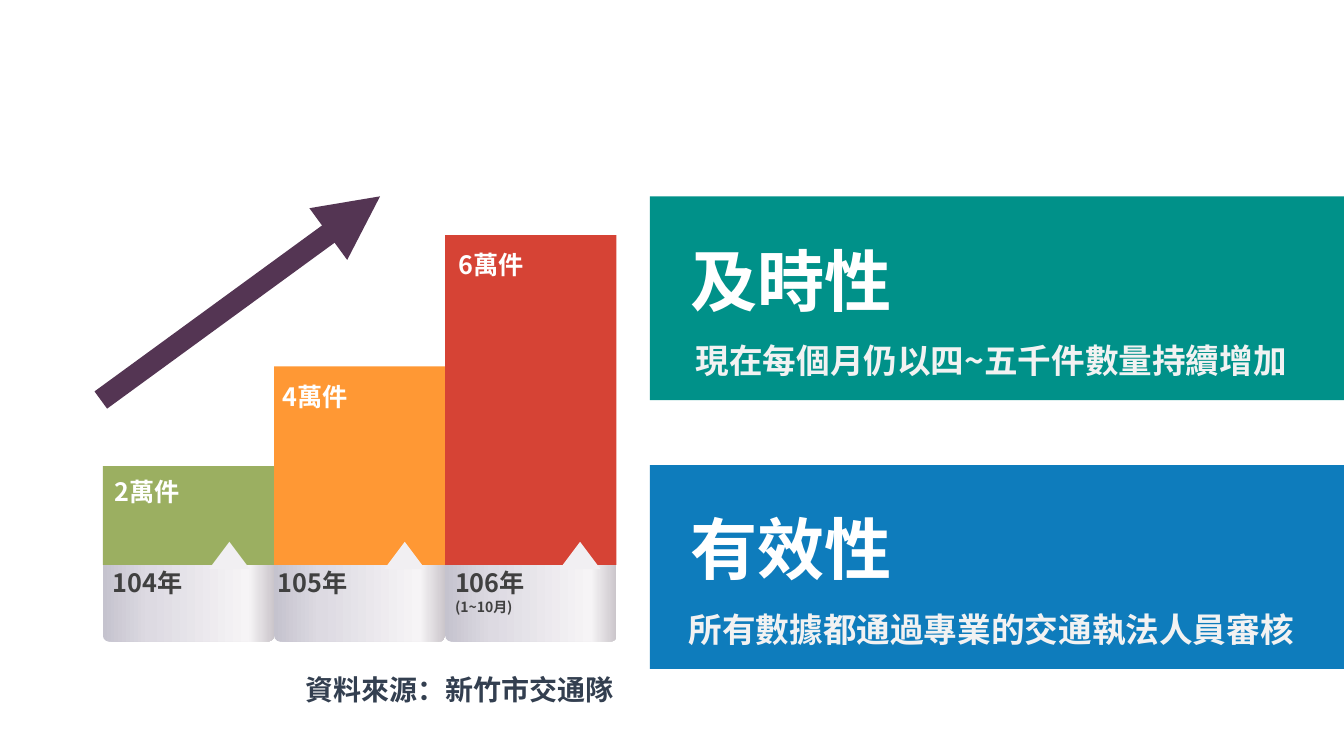
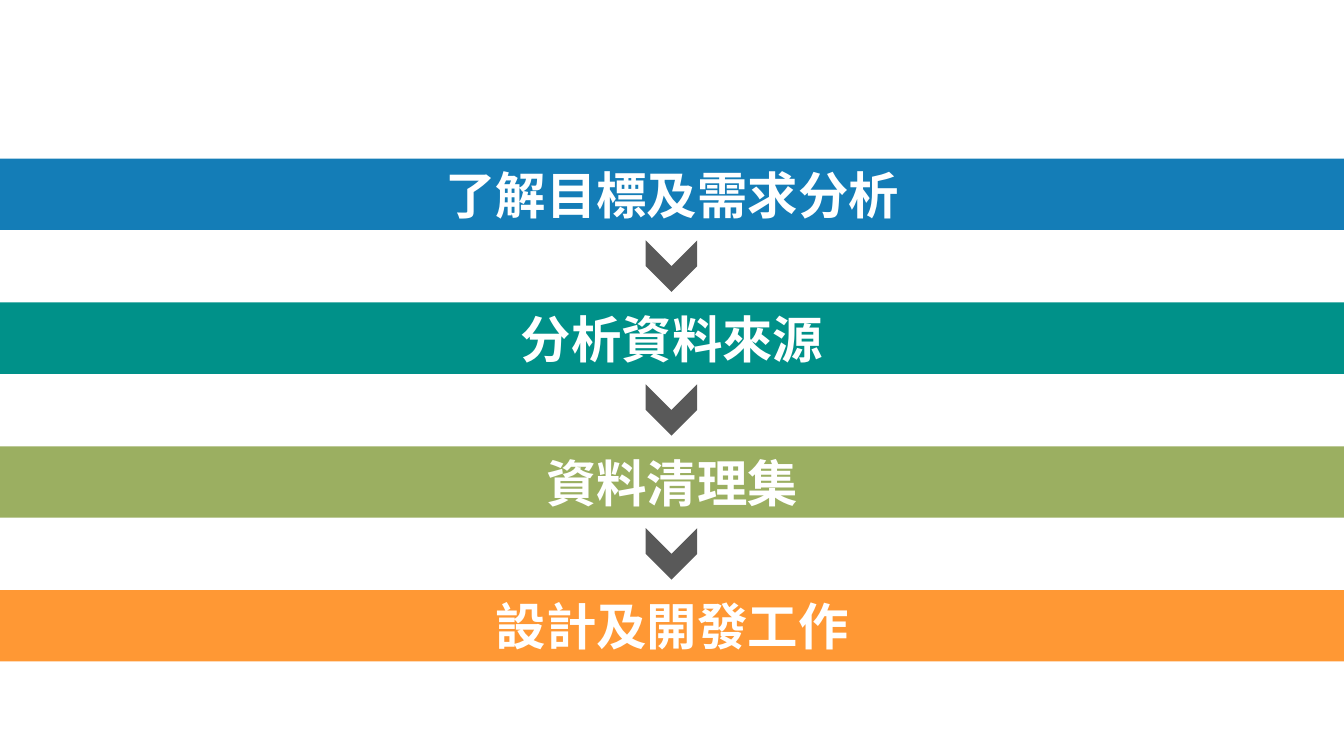
"""Build two slides: report growth by year, and the four project steps."""
import dataclasses

import lxml.etree
import pptx
import pptx.dml.color
import pptx.enum.dml
import pptx.enum.shapes
import pptx.enum.text
import pptx.oxml.ns
import pptx.util

SHAPE = pptx.enum.shapes.MSO_SHAPE
ALIGN = pptx.enum.text.PP_ALIGN
qn = pptx.oxml.ns.qn
SLIDE_W, SLIDE_H = 1280, 720


@dataclasses.dataclass(frozen=True)
class Theme:
    """Colours, font and type sizes shared by the slides."""
    font: str = "Noto Sans CJK SC"
    white: str = "FFFFFF"
    pale: str = "F2F2F2"
    notch: str = "F1EFF2"
    dark: str = "404040"
    navy: str = "333F50"
    chevron: str = "595959"
    purple: str = "543553"
    blue: str = "0E7CBC"
    band_blue: str = "147DB7"
    teal: str = "009189"
    green: str = "9BAF61"
    orange: str = "FF9834"
    red: str = "D64335"
    metal: tuple = ((0, "C5C3CE"), (27, "DDDAE2"), (85, "F6F4F6"), (100, "CBC6CB"))
    headline: int = 48
    band: int = 36
    detail: int = 24
    source: int = 20
    label: int = 18
    note: int = 10
    arrow: float = 15.25


T = Theme()


def px(n):
    """Turn pixels into EMU."""
    return pptx.util.Emu(n * 9525)


def rgb(color):
    """Turn a hex string into a colour."""
    return pptx.dml.color.RGBColor.from_string(color)


def write(tf, lines, color, align=ALIGN.LEFT, spacing=None):
    """Fill a text frame with (text, size) lines in bold."""
    tf.word_wrap = True
    tf.text = "\n".join(text for text, _ in lines)
    for p, (_, size) in zip(tf.paragraphs, lines):
        p.alignment = align
        p.line_spacing = spacing
        for r in p.runs:
            r.font.size = pptx.util.Pt(size)
            r.font.bold = True
            r.font.color.rgb = rgb(color)
            r.font.name = T.font
            ea = lxml.etree.SubElement(r.font._element, qn("a:ea"))
            ea.set("typeface", T.font)


def add_text(slide, x, y, w, h, lines, color, **style):
    """Add a text box that grows with its text."""
    tf = slide.shapes.add_textbox(px(x), px(y), px(w), px(h)).text_frame
    write(tf, lines, color, **style)
    tf.auto_size = pptx.enum.text.MSO_AUTO_SIZE.SHAPE_TO_FIT_TEXT


def add_shape(slide, kind, x, y, w, h, color):
    """Add a flat shape without outline or shadow."""
    sp = slide.shapes.add_shape(kind, px(x), px(y), px(w), px(h))
    sp.shadow.inherit = False
    sp.fill.solid()
    sp.fill.fore_color.rgb = rgb(color)
    sp.line.fill.background()
    return sp


def set_gradient(sp, stops):
    """Give a shape a left-to-right gradient of (percent, colour) stops."""
    sp.fill.gradient()
    sp.fill.gradient_angle = 0
    gs_list = sp._element.spPr.find(qn("a:gradFill")).find(qn("a:gsLst"))
    for gs in list(gs_list):
        gs_list.remove(gs)
    for percent, color in stops:
        gs = lxml.etree.SubElement(gs_list, qn("a:gs"), pos=str(percent * 1000))
        lxml.etree.SubElement(gs, qn("a:srgbClr"), val=color)


def add_arrow(slide, x1, y1, x2, y2):
    """Add the thick rising arrow."""
    line = slide.shapes.add_connector(
        pptx.enum.shapes.MSO_CONNECTOR.STRAIGHT, px(x1), px(y1), px(x2), px(y2))
    line.line.width = pptx.util.Pt(T.arrow)
    line.line.color.rgb = rgb(T.purple)
    lxml.etree.SubElement(line.line._get_or_add_ln(), qn("a:tailEnd"), type="triangle")
    lxml.etree.SubElement(line._element.spPr, qn("a:effectLst"))


def add_year_bar(slide, i, height, color, value, value_pos, year_x, year_lines):
    """Add one bar with its metal base, notch, value and year."""
    width, floor = 163, 538
    x, top = 98 + i * width, floor - height
    base = add_shape(slide, SHAPE.ROUNDED_RECTANGLE, x, 529, width, 82, T.notch)
    base.adjustments[0] = 0.07
    set_gradient(base, T.metal)
    add_text(slide, year_x, 536, 154, 38, year_lines, T.dark)
    add_shape(slide, SHAPE.RECTANGLE, x, top, width, height, color)
    add_shape(slide, SHAPE.ISOSCELES_TRIANGLE, 199 + i * 167, 516, 39, 26, T.notch)
    dx, dy = value_pos
    add_text(slide, x + dx, top + dy, 143, 38, [(value, T.label)], T.white)


def add_card(slide, y, color, title, detail):
    """Add a coloured card with a headline and a detail line."""
    style = {"align": ALIGN.CENTER, "spacing": 2.0}
    add_shape(slide, SHAPE.RECTANGLE, 619, y, SLIDE_W - 619, 194, color)
    add_text(slide, 582, y - 41, 343, 141, [(title, T.headline)], T.white, **style)
    add_text(slide, 640, y + 94, 608, 75, [(detail, T.detail)], T.pale, **style)


def build_growth(slide):
    """Show the yearly bars beside the two quality cards."""
    bars = [
        (94, T.green, "2萬件", (2, 5), 98, [("104年", T.label)]),
        (189, T.orange, "4萬件", (-1, 9), 255, [("105年", T.label)]),
        (314, T.red, "6萬件", (3, 9), 424, [("106年", T.label), ("(1~10月)", T.note)]),
    ]
    for i, bar in enumerate(bars):
        add_year_bar(slide, i, *bar)
    add_arrow(slide, 96, 381, 362, 187)
    add_text(slide, 152, 604, 571, 64, [("資料來源：新竹市交通隊", T.source)], T.navy,
             align=ALIGN.CENTER, spacing=2.0)
    add_card(slide, 187, T.teal, "及時性", "現在每個月仍以四~五千件數量持續增加")
    add_card(slide, 443, T.blue, "有效性", "所有數據都通過專業的交通執法人員審核")


def build_steps(slide):
    """Stack the step bands with a chevron in each gap."""
    steps = [
        ("了解目標及需求分析", T.band_blue),
        ("分析資料來源", T.teal),
        ("資料清理集", T.green),
        ("設計及開發工作", T.orange),
    ]
    top, height, pitch, size = 151, 68, 137, 49
    for i, (text, color) in enumerate(steps):
        y = top + i * pitch
        band = add_shape(slide, SHAPE.RECTANGLE, 0, y, SLIDE_W, height, color)
        write(band.text_frame, [(text, T.band)], T.white, align=ALIGN.CENTER)
        band.text_frame.vertical_anchor = pptx.enum.text.MSO_ANCHOR.MIDDLE
        if i < len(steps) - 1:
            gap_y = y + height + (pitch - height - size) // 2
            chevron = add_shape(slide, SHAPE.CHEVRON, (SLIDE_W - size) // 2, gap_y,
                                size, size, T.chevron)
            chevron.rotation = 90


def main():
    """Build and save the presentation."""
    prs = pptx.Presentation()
    prs.slide_width, prs.slide_height = px(SLIDE_W), px(SLIDE_H)
    for build in (build_growth, build_steps):
        build(prs.slides.add_slide(prs.slide_layouts[6]))
    prs.save("out.pptx")


if __name__ == "__main__":
    main()
